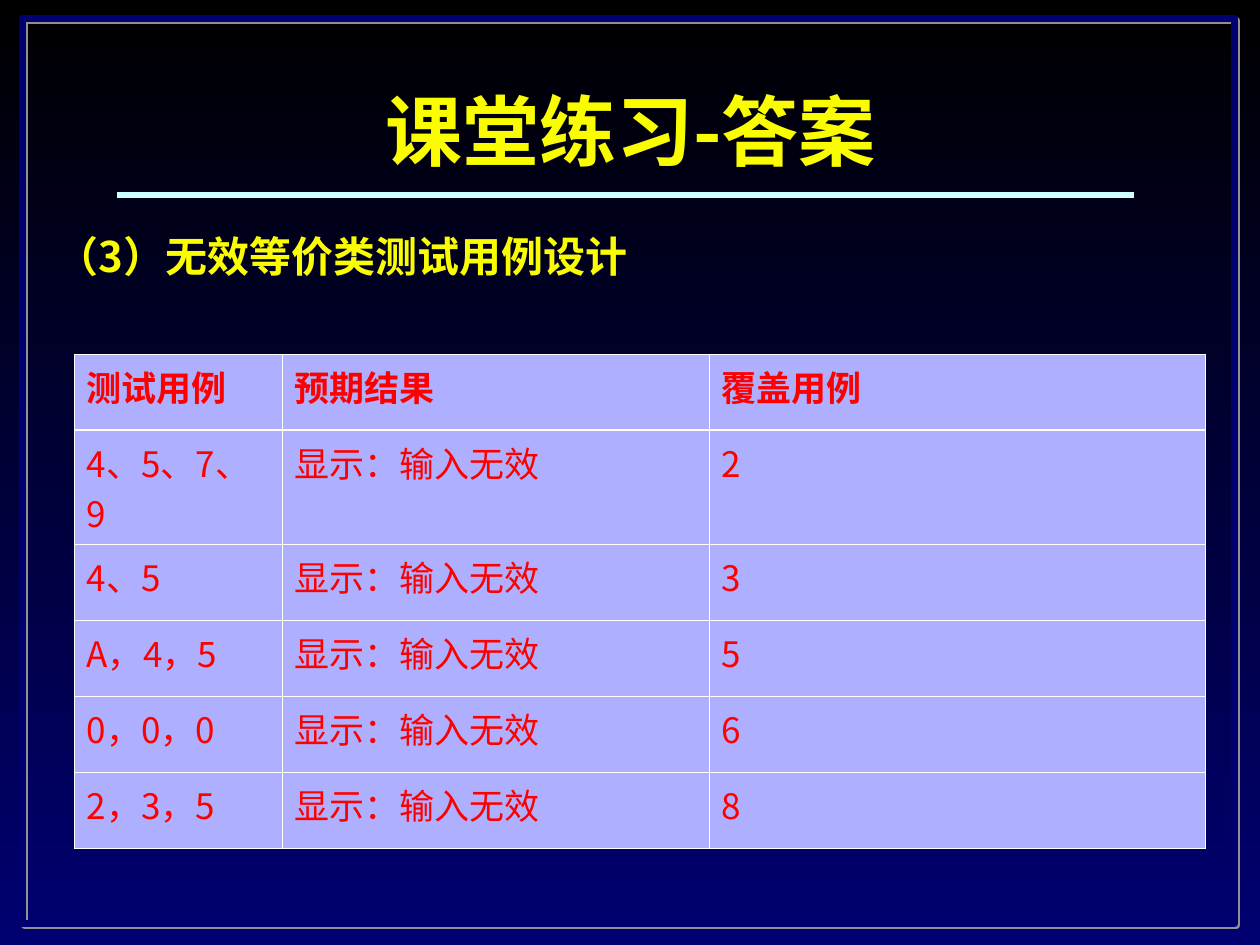
from dataclasses import dataclass

from lxml.etree import SubElement as Sub
from pptx import Presentation
from pptx.dml.color import RGBColor
from pptx.enum.shapes import MSO_CONNECTOR as Conn, MSO_SHAPE as Shape
from pptx.enum.text import MSO_ANCHOR as Anchor, MSO_AUTO_SIZE as Fit, PP_ALIGN as Align
from pptx.oxml.ns import qn
from pptx.util import Emu, Pt


@dataclass
class Theme:
    font: str = "Noto Sans CJK SC"
    top: str = "000000"
    navy: str = "000070"
    shade: str = "919191"
    gold: str = "FAFD00"
    rule: str = "CCFFFF"
    cell: str = "AFAFFF"
    grid: str = "FFFFFF"
    red: str = "FF0000"
    head: int = 44
    lead: int = 24
    text: int = 20


look = Theme()
rgb = RGBColor.from_string


def px(*nums):
    """Turn pixels, 126 to the inch, into EMU."""
    return [Emu(round(n * 914400 / 126)) for n in nums]


def write(para, text, size, color, bold=True):
    """Add one run with its Latin and East Asian font."""
    run = para.add_run()
    run.text = text
    font = run.font
    font.name, font.size, font.bold = look.font, Pt(size), bold
    font.color.rgb = rgb(color)
    Sub(font._element, qn("a:ea"), typeface=look.font)


prs = Presentation()
prs.slide_width, prs.slide_height = px(1260, 945)
slide = prs.slides.add_slide(prs.slide_layouts[1])
shapes = slide.shapes
title, body = slide.placeholders

# Background: black at the top to navy at the bottom
back = slide.background.fill
back.gradient()
back.gradient_angle = 270
for stop, color in zip(back.gradient_stops, (look.top, look.navy)):
    stop.color.rgb = rgb(color)

# Border frame with a thin hard shadow, behind everything
frame = shapes.add_shape(Shape.RECTANGLE, *px(23, 19, 1212, 905))
frame.fill.background()
frame.line.color.rgb = rgb(look.navy)
frame.line.width = Pt(4)
frame.shadow.inherit = False
glow = Sub(frame._element.spPr.find(qn("a:effectLst")), qn("a:outerShdw"),
           blurRad="0", dist=str(Pt(1.4)), dir="2700000", algn="ctr", rotWithShape="0")
Sub(glow, qn("a:srgbClr"), val=look.shade)
shapes._spTree.insert(2, frame._element)

# Title and lead line
for hold, box, anchor in (
    (title, (35, 57, 1191, 158), Anchor.MIDDLE),
    (body, (44, 214, 1191, 694), Anchor.TOP),
):
    hold.left, hold.top, hold.width, hold.height = px(*box)
    frm = hold.text_frame
    frm.auto_size, frm.word_wrap, frm.vertical_anchor = Fit.NONE, True, anchor

para = title.text_frame.paragraphs[0]
para.alignment, para.line_spacing = Align.CENTER, 0.9
write(para, "课堂练习-答案", look.head, look.gold)

para = body.text_frame.paragraphs[0]
props = para._p.get_or_add_pPr()
indent = px(48)[0]
props.set("marL", str(indent))
props.set("indent", str(-indent))
Sub(props, qn("a:buNone"))
para.line_spacing, para.space_before, para.space_after = 1.2, Pt(0), Pt(9)
write(para, "（3）无效等价类测试用例设计", look.lead, look.gold)

# Rule under the title
rule = shapes.add_connector(Conn.STRAIGHT, *px(117, 195, 1134, 195))
rule.line.color.rgb = rgb(look.rule)
rule.line.width = Pt(3)
Sub(rule._element.spPr, qn("a:effectLst"))

# Test case table
same = "显示：输入无效"
rows = [
    ("测试用例", "预期结果", "覆盖用例"),
    ("4、5、7、9", same, "2"),
    ("4、5", same, "3"),
    ("A，4，5", same, "5"),
    ("0，0，0", same, "6"),
    ("2，3，5", same, "8"),
]
wide = px(208, 427, 496)
high = px(76, 97, 76, 76, 76, 76)
grid = shapes.add_table(len(rows), len(wide), *px(74, 354), sum(wide), sum(high)).table
for col, size in zip(grid.columns, wide):
    col.width = size
for r, texts in enumerate(rows):
    grid.rows[r].height = high[r]
    for c, text in enumerate(texts):
        cell = grid.cell(r, c)
        write(cell.text_frame.paragraphs[0], text, look.text, look.red, r == 0)
        props = cell._tc.get_or_add_tcPr()
        for side in "LRTB":
            thick = (r, side) in ((0, "B"), (1, "T"))
            edge = Sub(props, qn(f"a:ln{side}"), w=str(Pt(1.47 if thick else 0.45)))
            Sub(Sub(edge, qn("a:solidFill")), qn("a:srgbClr"), val=look.grid)
        cell.fill.solid()
        cell.fill.fore_color.rgb = rgb(look.cell)

prs.save("out.pptx")
